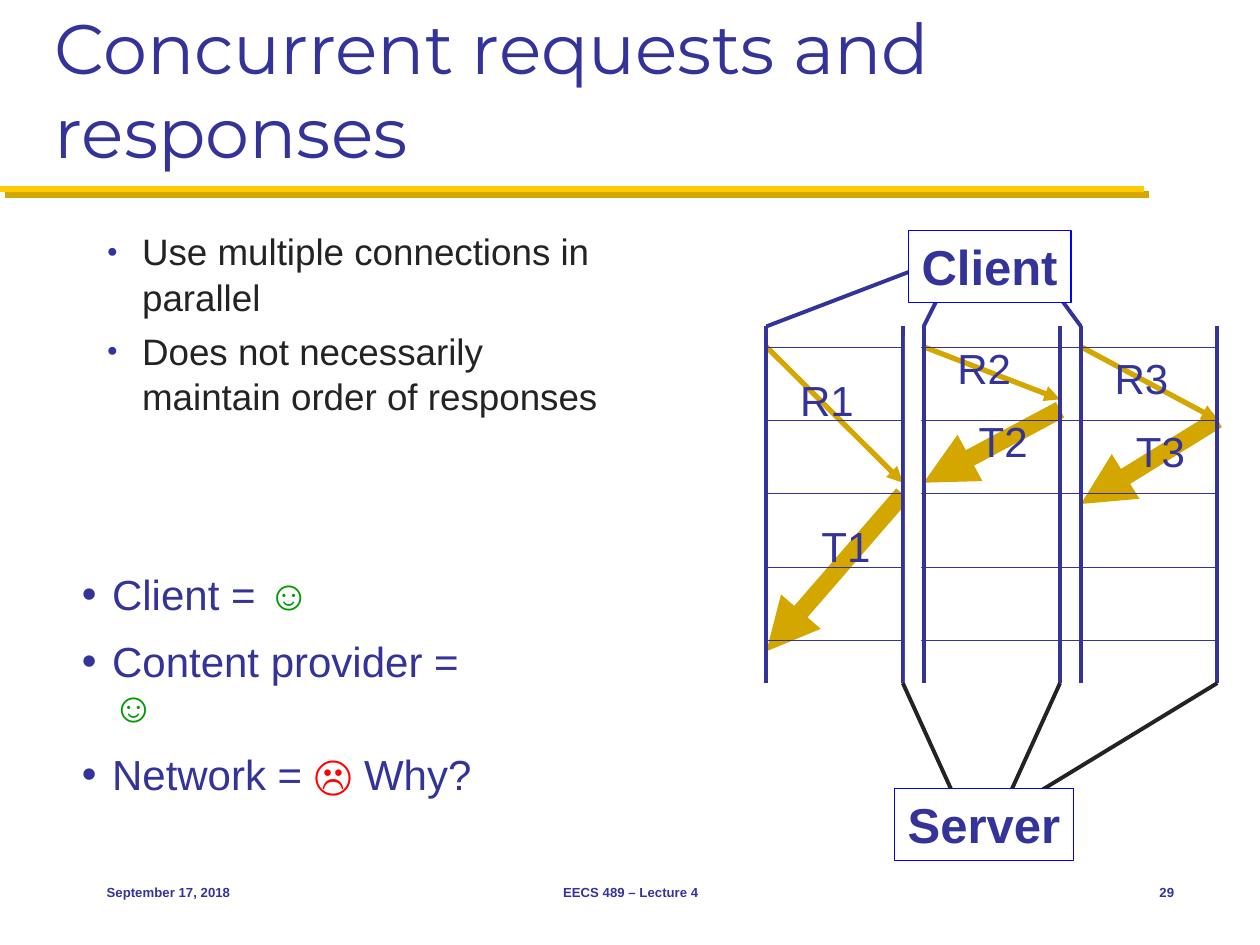
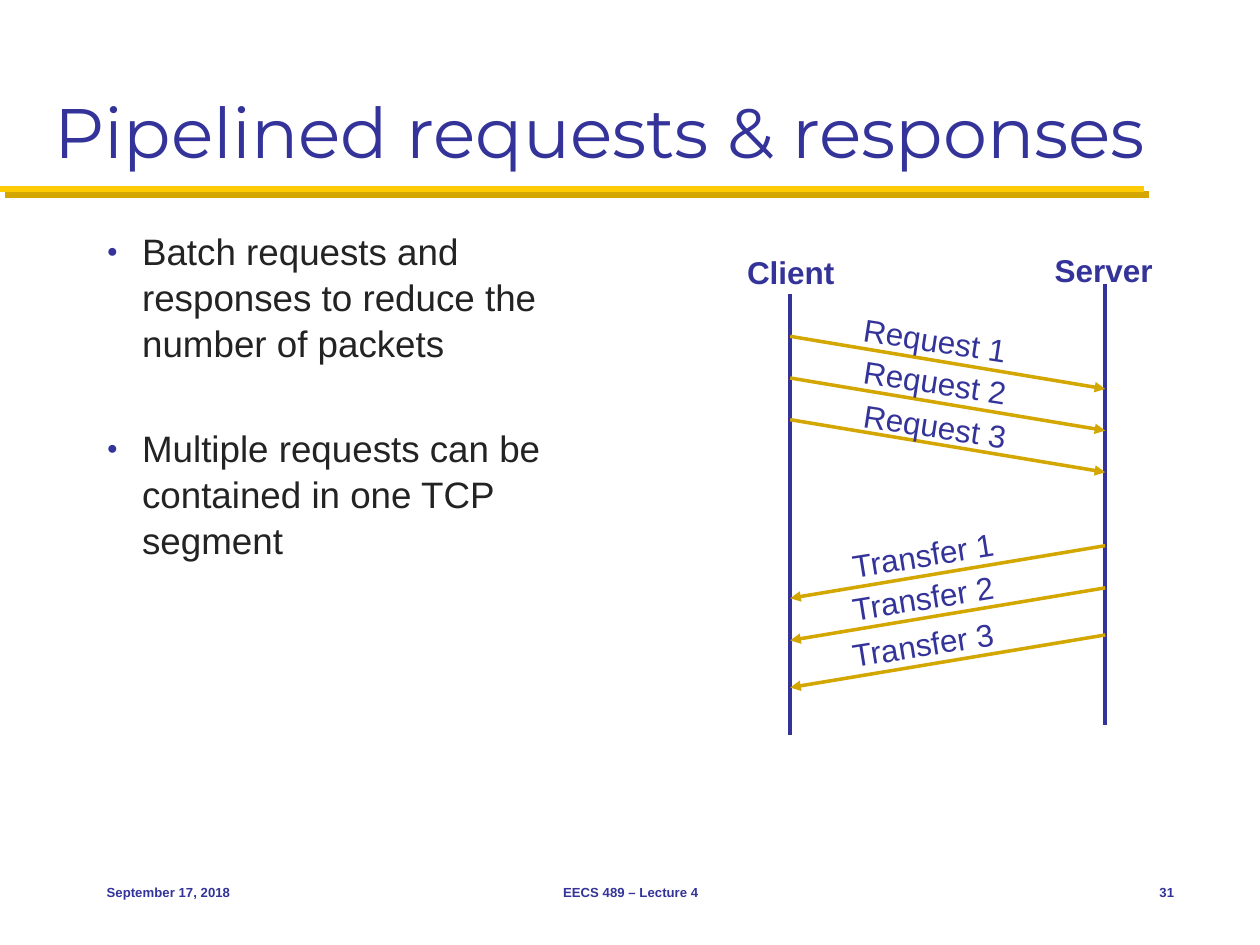
import pptx
import pptx.util
import pptx.dml.color
import pptx.enum.dml
import pptx.enum.shapes
import pptx.enum.text
import pptx.oxml.ns
import lxml.etree

Cm = pptx.util.Cm
Pt = pptx.util.Pt
RGBColor = pptx.dml.color.RGBColor
Align = pptx.enum.text.PP_ALIGN
Anchor = pptx.enum.text.MSO_ANCHOR
qn = pptx.oxml.ns.qn

INDIGO = RGBColor(0x33, 0x33, 0x99)
MAIZE = RGBColor(0xFF, 0xCB, 0x05)
GOLD = RGBColor(0xD3, 0xA6, 0x00)
INK = RGBColor(0x23, 0x23, 0x23)
BLUE = RGBColor(0x00, 0x00, 0xFF)
GREEN = RGBColor(0x00, 0x99, 0x00)
RED = RGBColor(0xFF, 0x00, 0x00)
WHITE = RGBColor(0xFF, 0xFF, 0xFF)


def add_line(page, x1, y1, x2, y2, colour, width, arrow=False):
    line = page.shapes.add_connector(
        pptx.enum.shapes.MSO_CONNECTOR.STRAIGHT, Cm(x1), Cm(y1), Cm(x2), Cm(y2))
    line.line.color.rgb = colour
    line.line.width = Pt(width)
    if arrow:
        lxml.etree.SubElement(line.line._get_or_add_ln(), qn("a:tailEnd"), type="triangle")
    lxml.etree.SubElement(line._element.spPr, qn("a:effectLst"))
    return line


def add_label(page, text, left, top, width, height, size, bold=False, align=Align.LEFT):
    box = page.shapes.add_textbox(Cm(left), Cm(top), Cm(width), Cm(height))
    box.text_frame.text = text
    box.text_frame.word_wrap = False
    para = box.text_frame.paragraphs[0]
    para.alignment = align
    font = para.runs[0].font
    font.name = "Arial"
    font.size = Pt(size)
    font.bold = bold
    font.color.rgb = INDIGO
    return box


deck = pptx.Presentation()
deck.slide_width = Cm(25.4)
deck.slide_height = Cm(19.05)

contents = [
    ("Concurrent requests and responses", "29", 4.5,
     ["Use multiple connections in parallel",
      "Does not necessarily maintain order of responses"]),
    ("Pipelined requests & responses", "31", 34,
     ["Batch requests and responses to reduce the number of packets",
      "Multiple requests can be contained in one TCP segment"]),
]
pages = []
bulleted = []

for heading, number, gap, points in contents:
    page = deck.slides.add_slide(deck.slide_layouts[1])
    pages.append(page)
    add_line(page, 0.11, 3.92, 23.17, 3.92, GOLD, 3.5)
    add_line(page, 0, 3.81, 23.06, 3.81, MAIZE, 3.5)

    title = page.shapes.title
    title.left, title.top, title.width, title.height = Cm(0.85), Cm(0.42), Cm(23.7), Cm(3.18)
    title.text_frame.text = heading
    title.text_frame.auto_size = pptx.enum.text.MSO_AUTO_SIZE.NONE
    title.text_frame.vertical_anchor = Anchor.BOTTOM
    para = title.text_frame.paragraphs[0]
    para.alignment = Align.LEFT
    para.runs[0].font.name = "Montserrat"
    para.runs[0].font.size = Pt(40)
    para.runs[0].font.color.rgb = INDIGO

    body = page.placeholders[1]
    body.left, body.top, body.width, body.height = Cm(1.9), Cm(4.45), Cm(10.8), Cm(12.27)
    body.text_frame.text = "\n".join(points)
    body.text_frame.auto_size = pptx.enum.text.MSO_AUTO_SIZE.NONE
    for index, para in enumerate(body.text_frame.paragraphs):
        para.line_spacing = 1.04
        para.space_before = Pt(gap if index else 0)
        para.runs[0].font.name = "Arial"
        para.runs[0].font.size = Pt(21)
        para.runs[0].font.color.rgb = INK
        bulleted.append((para, 0.71, "●", 50))

    for text, left, width, align in [
            ("September 17, 2018", 1.9, 5.28, Align.LEFT),
            ("EECS 489 – Lecture 4", 8.69, 8.05, Align.CENTER),
            (number, 22.23, 1.69, Align.RIGHT)]:
        footer = add_label(page, text, left, 17.35, width, 1.27, 7.5, True, align)
        footer.text_frame.word_wrap = True
        footer.text_frame.vertical_anchor = Anchor.MIDDLE

concurrent, pipelined = pages

verdicts = [
    [("Client = ", INDIGO), ("☺", GREEN)],
    [("Content provider = ", INDIGO), ("☺", GREEN)],
    [("Network = ", INDIGO), ("☹", RED), (" Why?", INDIGO)],
]
box = concurrent.shapes.add_textbox(Cm(1.4), Cm(11.81), Cm(8.9), Cm(4.06))
box.text_frame.word_wrap = True
box.text_frame.vertical_anchor = Anchor.MIDDLE
for index, verdict in enumerate(verdicts):
    para = box.text_frame.add_paragraph() if index else box.text_frame.paragraphs[0]
    para.line_spacing = 0.9
    para.space_before = Pt(12.5 if index else 0)
    for text, colour in verdict:
        span = para.add_run()
        span.text = text
        span.font.name = "Arial"
        span.font.size = Pt(24)
        span.font.color.rgb = colour
    bulleted.append((para, 0.61, "•", 100))

for para, indent, mark, percent in bulleted:
    properties = para._p.get_or_add_pPr()
    properties.set("marL", str(Cm(indent)))
    properties.set("indent", str(-Cm(indent)))
    tint = lxml.etree.SubElement(properties, qn("a:buClr"))
    lxml.etree.SubElement(tint, qn("a:srgbClr"), val=str(INDIGO))
    lxml.etree.SubElement(properties, qn("a:buSzPct"), val=str(percent * 1000))
    lxml.etree.SubElement(properties, qn("a:buFont"), typeface="Arial")
    lxml.etree.SubElement(properties, qn("a:buChar"), char=mark)

lane_width = 2.75
lanes = [15.45 + 3.17 * lane for lane in range(3)]
lane_top, lane_bottom = 6.58, 13.77
requests = [(9.73, 7.42), (8.05, 6.78), (8.46, 6.99)]
transfers = [(9.96, 13.13, 10.36), (8.26, 9.73, 8.26), (8.46, 10.16, 8.46)]

for number, (left, (end, label_top)) in enumerate(zip(lanes, requests), 1):
    add_line(concurrent, left, 6.99, left + lane_width, end, GOLD, 3, True)
    add_label(concurrent, f"R{number}", left + 0.43, label_top, 1.6, 1.3, 24)
for number, (left, (start, end, label_top)) in enumerate(zip(lanes, transfers), 1):
    add_line(concurrent, left + lane_width, start, left, end, GOLD, 10, True)
    add_label(concurrent, f"T{number}", left + 0.86, label_top, 1.52, 1.3, 24)

for left, (x, y) in zip(lanes, [(18.85, 5.28), (19.05, 5.72), (21.16, 5.72)]):
    add_line(concurrent, left, lane_top, x, y, INDIGO, 2.25)
for row in range(5):
    y = 6.99 + 1.48 * row
    dotted = add_line(concurrent, lanes[0], y, lanes[-1] + lane_width, y, INDIGO, 0.25)
    dotted.line.dash_style = pptx.enum.dml.MSO_LINE.ROUND_DOT
for left, server_x in zip(lanes, [19.25, 20.32, 20.75]):
    right = left + lane_width
    for x in (left, right):
        add_line(concurrent, x, lane_top, x, lane_bottom, INDIGO, 2.25)
    add_line(concurrent, right, lane_bottom, server_x, 16.08, INK, 2.25)

gap_cover = concurrent.shapes.add_shape(
    pptx.enum.shapes.MSO_SHAPE.RECTANGLE, Cm(18.24), Cm(6.78), Cm(0.33), Cm(6.99))
gap_cover.shadow.inherit = False
gap_cover.fill.solid()
gap_cover.fill.fore_color.rgb = WHITE
gap_cover.line.fill.background()

for name, left, top, width in [("Client", 18.31, 4.65, 3.28), ("Server", 18.03, 15.9, 3.61)]:
    host = add_label(concurrent, name, left, top, width, 1.45, 28, True, Align.CENTER)
    host.fill.solid()
    host.fill.fore_color.rgb = WHITE
    host.line.color.rgb = BLUE
    host.line.width = Pt(0.75)

client_x, server_x, drop = 15.93, 22.28, 1.06
for name, x, top, left, label_top, width in [
        ("Client", client_x, 5.92, 14.81, 4.98, 2.34),
        ("Server", server_x, 5.72, 21.01, 4.93, 2.54)]:
    add_line(pipelined, x, top, x, top + 8.89, INDIGO, 2)
    add_label(pipelined, name, left, label_top, width, 1.04, 18, True)

for word, start_x, end_x, left, angle, rows in [
        ("Request", client_x, server_x, 17.15, 8.7,
         [(6.78, 6.35), (7.62, 7.19), (8.46, 8.08)]),
        ("Transfer", server_x, client_x, 16.92, 350.9,
         [(11, 10.67), (11.85, 11.53), (12.8, 12.47)])]:
    for number, (y, label_top) in enumerate(rows, 1):
        add_line(pipelined, start_x, y, end_x, y + drop, GOLD, 2, True)
        label = add_label(pipelined, f"{word} {number}", left, label_top, 3.47, 1.04, 18)
        label.rotation = angle

deck.save("out.pptx")
